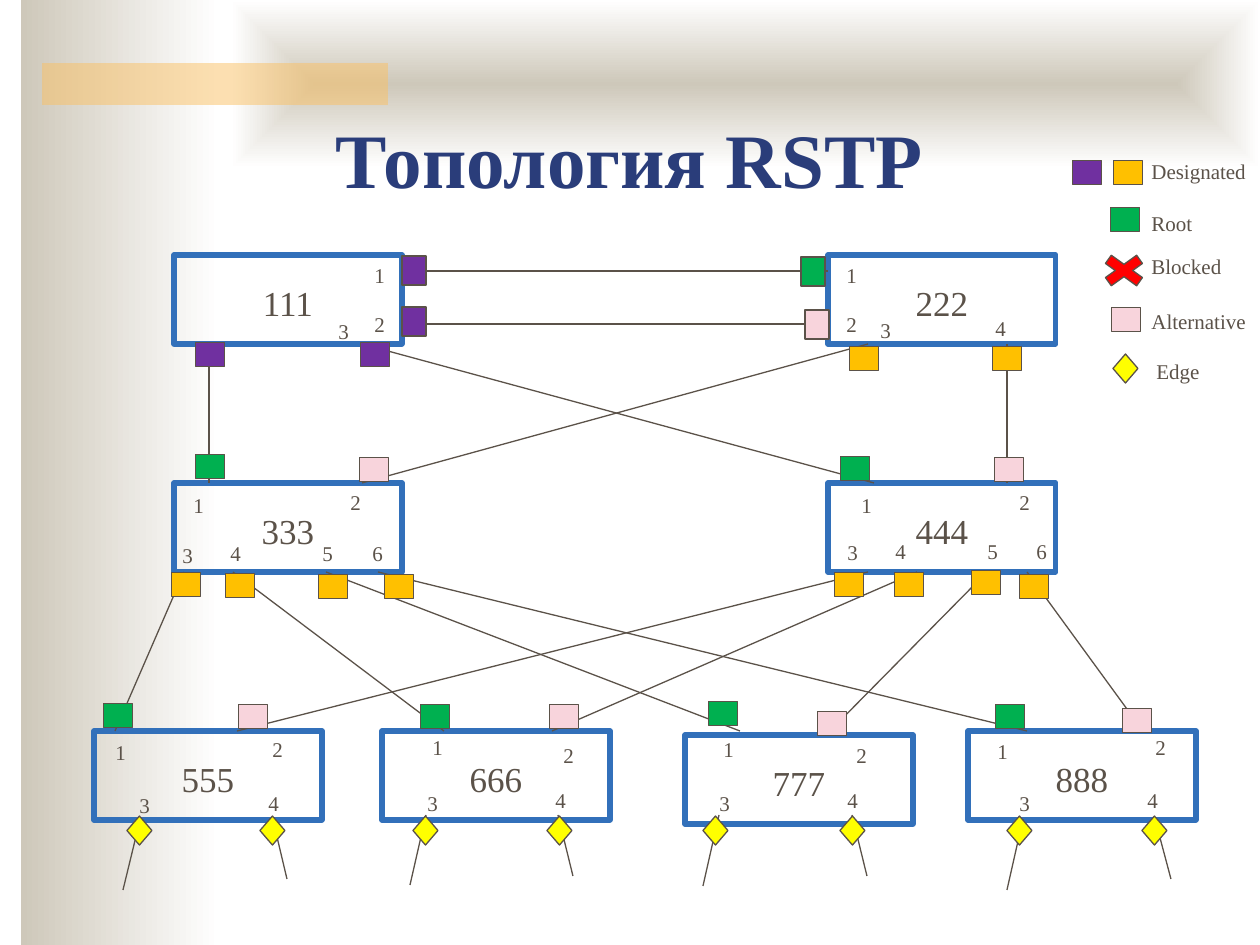
from lxml import etree
from pptx import Presentation
from pptx.dml.color import RGBColor
from pptx.enum.shapes import MSO_CONNECTOR, MSO_SHAPE
from pptx.enum.text import MSO_ANCHOR, MSO_AUTO_SIZE, PP_ALIGN
from pptx.oxml.ns import qn
from pptx.util import Pt

RECTANGLE = MSO_SHAPE.RECTANGLE
DIAMOND = MSO_SHAPE.DIAMOND
CROSS = MSO_SHAPE.MATH_MULTIPLY
STRAIGHT = MSO_CONNECTOR.STRAIGHT
TOP, MIDDLE = MSO_ANCHOR.TOP, MSO_ANCHOR.MIDDLE
LEFT, CENTER = PP_ALIGN.LEFT, PP_ALIGN.CENTER
FIT_SHAPE = MSO_AUTO_SIZE.SHAPE_TO_FIT_TEXT
PIXEL = 914400 / 126
INK, BLUE, NAVY, SAND = "5B5249", "3270BA", "2A3D7A", "CEC8BA"
PURPLE, ORANGE, GREEN, PINK = "7030A0", "FFC000", "00B050", "F8D4DC"


def add_box(kind, area, fill=None, line=None, width=0.75):
    box = page.shapes.add_shape(kind, *[round(value * PIXEL) for value in area])
    box.shadow.inherit = False
    if fill:
        box.fill.solid()
        box.fill.fore_color.rgb = RGBColor.from_string(fill)
    else:
        box.fill.background()
    if line:
        box.line.color.rgb = RGBColor.from_string(line)
        box.line.width = Pt(width)
    else:
        box.line.fill.background()
    return box


def write_text(box, text, frame_format, alignment=LEFT, size=12, color=INK, bold=False):
    frame = box.text_frame
    frame.word_wrap = True
    for name, value in frame_format.items():
        setattr(frame, name, value)
    para = frame.paragraphs[0]
    para.alignment = alignment
    span = para.add_run()
    span.text = text
    for name, value in {"name": "Times New Roman", "size": Pt(size), "bold": bold}.items():
        setattr(span.font, name, value)
    span.font.color.rgb = RGBColor.from_string(color)


deck = Presentation()
deck.slide_width, deck.slide_height = round(1260 * PIXEL), round(945 * PIXEL)
page = deck.slides.add_slide(deck.slide_layouts[6])

side_band = add_box(RECTANGLE, (21, 0, 199, 945))
top_band = add_box(RECTANGLE, (231, 0, 1029, 168))
for band in (side_band, top_band):
    band.fill.gradient()
    band.fill.gradient_angle = 0
    for stop, color in zip(band.fill.gradient_stops, (SAND, "FFFFFF")):
        stop.color.rgb = RGBColor.from_string(color)
direction = next(top_band.element.iter(qn("a:lin")))
gradient = direction.getparent()
gradient.remove(direction)
center_out = etree.SubElement(gradient, qn("a:path"), path="shape")
etree.SubElement(center_out, qn("a:fillToRect"), l="50000", t="50000", r="50000", b="50000")

accent = add_box(RECTANGLE, (42, 63, 346, 42), "FAC164")
accent_color = next(accent.element.iter(qn("a:srgbClr")))
etree.SubElement(accent_color, qn("a:alpha"), val="50000")

title = page.shapes.add_textbox(*[round(value * PIXEL) for value in (94, 97, 1071, 139)])
title_format = {"vertical_anchor": TOP, "margin_top": round(15 * PIXEL)}
write_text(title, "Топология RSTP", title_format, CENTER, 44, NAVY, True)

switches = {
    "111": (174, 255), "222": (828, 255), "333": (174, 483), "444": (828, 483),
    "555": (94, 731), "666": (382, 731), "777": (685, 735), "888": (968, 731),
}
switch_format = {"vertical_anchor": MIDDLE, "margin_top": Pt(3.6), "margin_bottom": 0}
for name, corner in switches.items():
    switch = add_box(RECTANGLE, (*corner, 228, 89), line=BLUE, width=3)
    write_text(switch, name, switch_format, CENTER, 20)

core_links = [
    (402, 271, 828, 271), (402, 324, 828, 324), (868, 344, 362, 483),
    (1007, 344, 1007, 483), (209, 344, 209, 483), (362, 344, 874, 483),
]
access_links = [
    (start, 572, end, 731)
    for start, end in [(184, 115), (233, 444), (326, 740), (378, 1027),
                       (868, 237), (917, 552), (987, 830), (1027, 1143)]
]
edge_links = [
    (140, 820, 123, 890), (273, 820, 287, 879), (426, 815, 410, 885), (558, 815, 573, 876),
    (719, 815, 703, 886), (852, 815, 867, 876), (1023, 819, 1007, 890), (1155, 819, 1171, 879),
]
for ends in core_links + access_links + edge_links:
    link = page.shapes.add_connector(STRAIGHT, *[round(value * PIXEL) for value in ends])
    link.line.color.rgb = RGBColor.from_string(INK)
    link.line.width = Pt(0.75)
    etree.SubElement(link.element.spPr, qn("a:effectLst"))

port_numbers = [
    [(362, 256), (362, 305), (326, 312)],
    [(834, 256), (834, 305), (868, 311), (983, 309)],
    [(181, 486), (338, 483), (170, 536), (218, 534), (310, 534), (360, 534)],
    [(849, 486), (1007, 483), (835, 533), (883, 532), (975, 532), (1024, 532)],
    [(103, 733), (260, 730), (127, 786), (256, 784)],
    [(420, 728), (551, 736), (415, 784), (543, 781)],
    [(711, 730), (844, 736), (707, 784), (835, 781)],
    [(985, 732), (1143, 728), (1007, 784), (1135, 781)],
]
labels = [
    (str(number), *corner, 47)
    for corners in port_numbers
    for number, corner in enumerate(corners, 1)
]
labels += [
    ("Designated", 1139, 152, 223), ("Root", 1139, 204, 223), ("Blocked", 1139, 247, 223),
    ("Alternative", 1139, 302, 223), ("Edge", 1144, 352, 223),
]
for text, left, top, width in labels:
    label = page.shapes.add_textbox(*[round(value * PIXEL) for value in (left, top, width, 38)])
    write_text(label, text, {"auto_size": FIT_SHAPE})

ports = [
    (PURPLE, 0, [(402, 256), (402, 307)]),
    (PURPLE, 90, [(363, 340), (198, 340), (1075, 158)]),
    (ORANGE, 90, [(174, 570), (228, 571), (321, 572), (387, 572), (837, 570), (897, 570),
                  (974, 568), (1022, 572), (995, 344), (852, 344), (1116, 158)]),
    (GREEN, 0, [(801, 257)]),
    (GREEN, 90, [(198, 452), (106, 701), (423, 702), (711, 699), (998, 702),
                 (843, 454), (1113, 205)]),
    (PINK, 90, [(362, 455), (997, 455), (1125, 706), (820, 709), (552, 702),
                (241, 702), (1114, 305)]),
    (PINK, 180, [(805, 310)]),
]
for color, turn, corners in ports:
    for corner in corners:
        port = add_box(RECTANGLE, (*corner, 24, 29), color, INK)
        port.rotation = turn

add_box(CROSS, (1094, 249, 60, 43), "FF0000", INK)
edge_ports = [(left, 816) for left in (127, 260, 413, 547, 703, 840, 1007, 1142)]
for corner in edge_ports + [(1113, 354)]:
    add_box(DIAMOND, (*corner, 25, 29), "FFFF00", INK)

deck.save("out.pptx")
